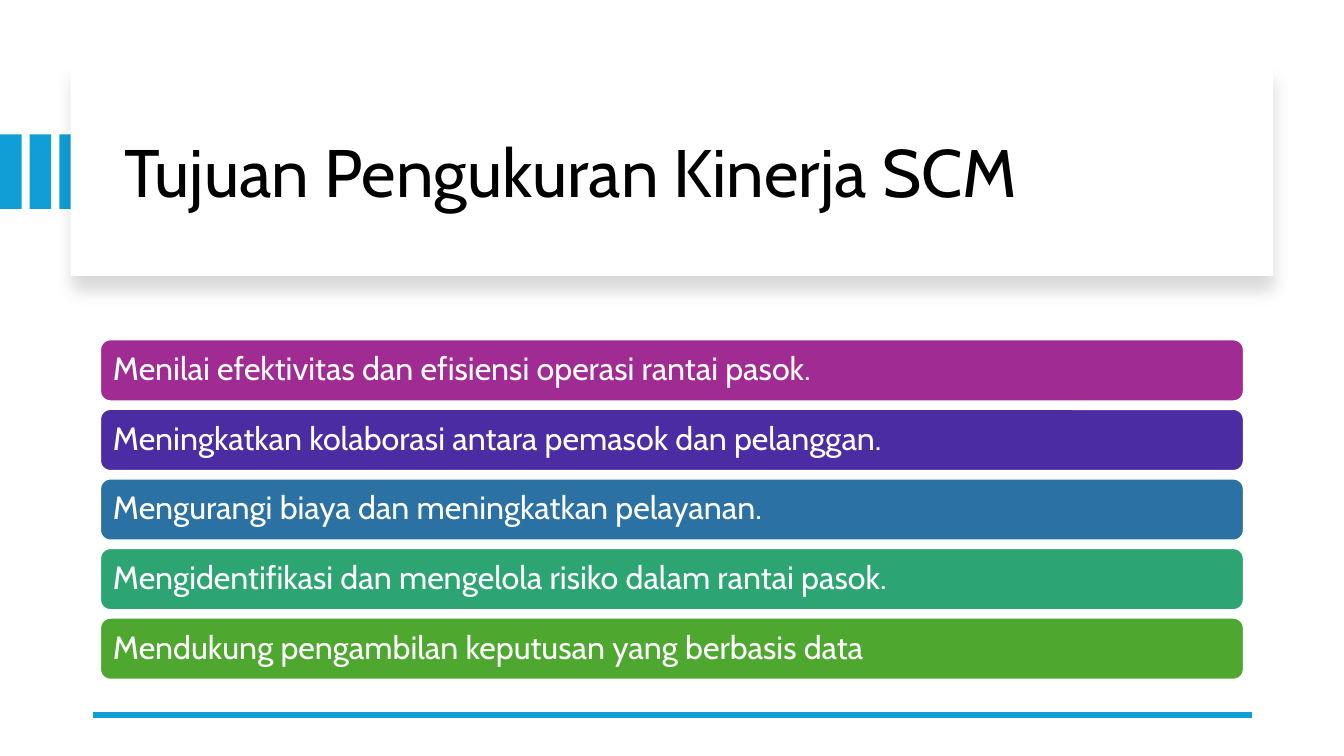
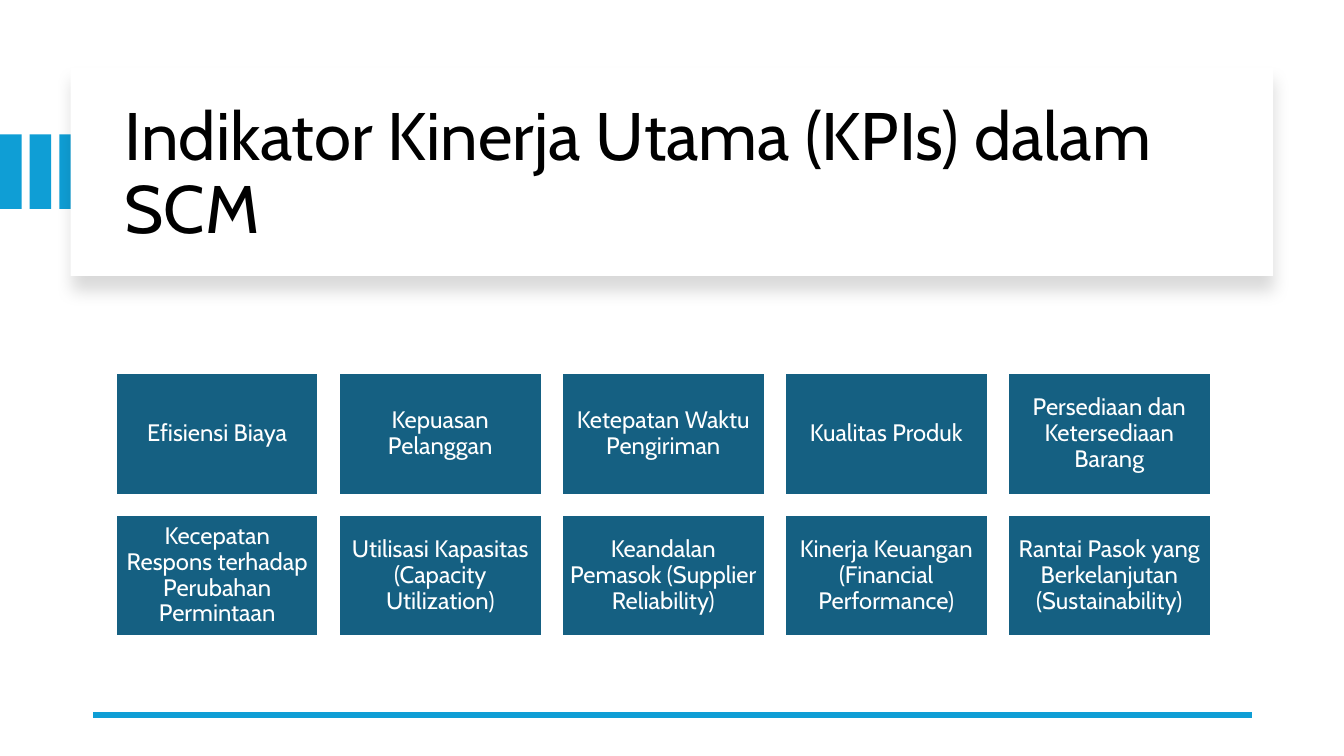
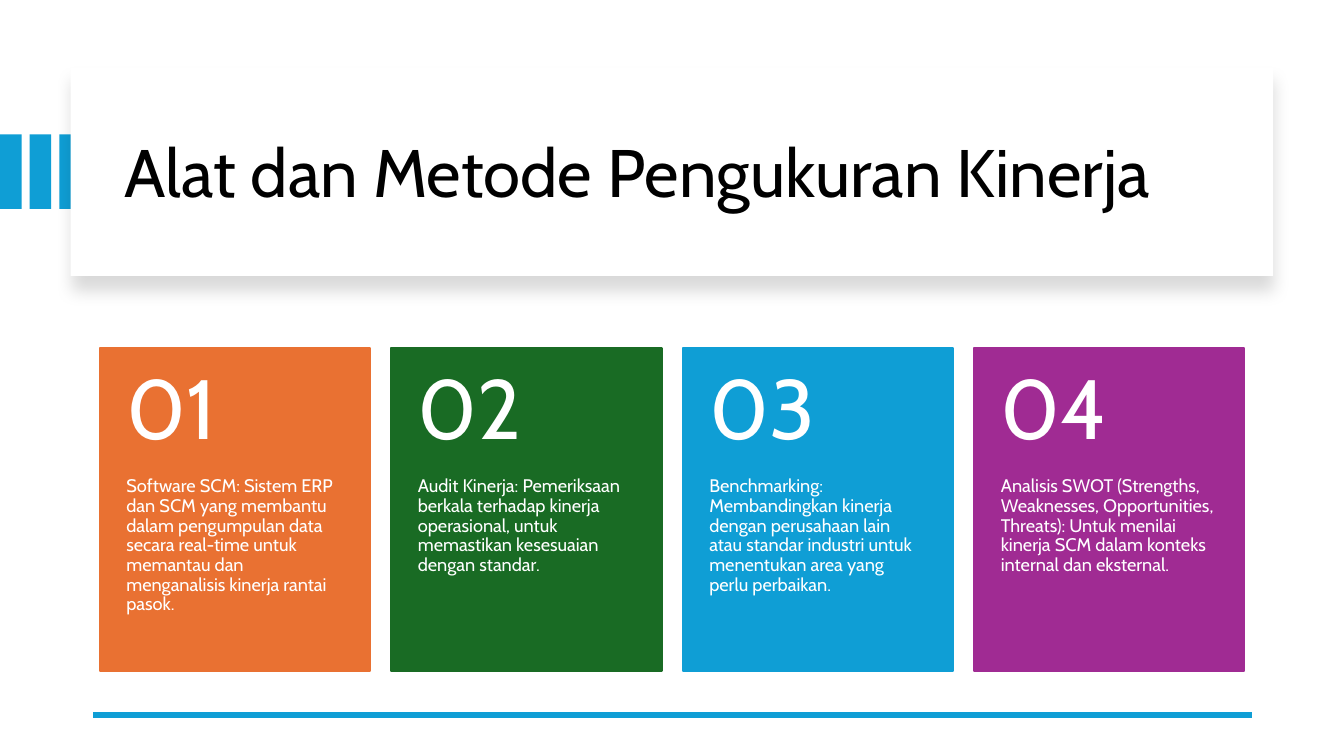
from lxml import etree
from pptx import Presentation
from pptx import util as u
from pptx.dml.color import RGBColor
from pptx.enum import shapes, text
from pptx.oxml import ns

FONT = "Cabin"
WHITE, BLACK = "FFFFFF", "000000"
SKY, TEAL, PURPLE = "0F9ED5", "156082", "A02B93"
MIDDLE, TOP = text.MSO_ANCHOR.MIDDLE, text.MSO_ANCHOR.TOP
LEFT, CENTER = text.PP_ALIGN.LEFT, text.PP_ALIGN.CENTER
RECT, ROUNDED = shapes.MSO_SHAPE.RECTANGLE, shapes.MSO_SHAPE.ROUNDED_RECTANGLE

GOALS = [
    ("Menilai efektivitas dan efisiensi operasi rantai pasok.", PURPLE),
    ("Meningkatkan kolaborasi antara pemasok dan pelanggan.", "4B2CA2"),
    ("Mengurangi biaya dan meningkatkan pelayanan.", "2C71A4"),
    ("Mengidentifikasi dan mengelola risiko dalam rantai pasok.", "2DA573"),
    ("Mendukung pengambilan keputusan yang berbasis data", "4EA72E"),
]
INDICATORS = [
    "Efisiensi Biaya",
    "Kepuasan Pelanggan",
    "Ketepatan Waktu Pengiriman",
    "Kualitas Produk",
    "Persediaan dan Ketersediaan Barang",
    "Kecepatan Respons terhadap Perubahan Permintaan",
    "Utilisasi Kapasitas (Capacity Utilization)",
    "Keandalan Pemasok (Supplier Reliability)",
    "Kinerja Keuangan (Financial Performance)",
    "Rantai Pasok yang Berkelanjutan (Sustainability)",
]
METHODS = [
    ("Software SCM: Sistem ERP dan SCM yang membantu dalam pengumpulan data secara "
     "real-time untuk memantau dan menganalisis kinerja rantai pasok.", "E97132"),
    ("Audit Kinerja: Pemeriksaan berkala terhadap kinerja operasional, untuk "
     "memastikan kesesuaian dengan standar.", "196B24"),
    ("Benchmarking: Membandingkan kinerja dengan perusahaan lain atau standar "
     "industri untuk menentukan area yang perlu perbaikan.", SKY),
    ("Analisis SWOT (Strengths, Weaknesses, Opportunities, Threats): Untuk menilai "
     "kinerja SCM dalam konteks internal dan eksternal.", PURPLE),
]


def color(code):
    return RGBColor.from_string(code)


class Deck:
    """Holds the shared style and the current slide."""

    def __init__(self):
        self.deck = Presentation()
        self.deck.slide_width, self.deck.slide_height = u.Pt(960), u.Pt(540)
        self.page = None

    def start(self, title):
        self.page = self.deck.slides.add_slide(self.deck.slide_layouts[6])
        for index in range(3):
            self.shape(21.2 * index, 96, 15.4, 53.3, SKY)
        self.shadow(self.shape(50.4, 48.2, 859, 149, WHITE))
        self.label(82.1, 64.1, 801.4, 122.4, title, 48, BLACK, (7.2, 3.6, 7.2, 3.6))
        self.rule(894.2, 66.2, 510.5)

    def shape(self, x, y, width, height, fill, line=None, kind=RECT):
        box = self.page.shapes.add_shape(kind, u.Pt(x), u.Pt(y), u.Pt(width), u.Pt(height))
        box.shadow.inherit = False
        box.fill.solid()
        box.fill.fore_color.rgb = color(fill)
        if line:
            box.line.color.rgb = color(line)
            box.line.width = u.Pt(1.5)
        else:
            box.line.fill.background()
        return box

    def shadow(self, box):
        effects = box._element.spPr.find(ns.qn("a:effectLst"))
        outer = etree.SubElement(effects, ns.qn("a:outerShdw"), blurRad=str(u.Pt(11)),
                                 dist=str(u.Pt(10)), dir="5400000", algn="t", rotWithShape="0")
        shade = etree.SubElement(outer, ns.qn("a:srgbClr"), val=BLACK)
        etree.SubElement(shade, ns.qn("a:alpha"), val="15000")

    def rule(self, start, end, y):
        line = self.page.shapes.add_connector(
            shapes.MSO_CONNECTOR.STRAIGHT, u.Pt(start), u.Pt(y), u.Pt(end), u.Pt(y))
        line.line.color.rgb = color(SKY)
        line.line.width = u.Pt(4.5)
        etree.SubElement(line._element.spPr, ns.qn("a:effectLst"))

    def label(self, x, y, width, height, words, size, ink, insets):
        box = self.page.shapes.add_textbox(u.Pt(x), u.Pt(y), u.Pt(width), u.Pt(height))
        self.put_text(box, words, size, ink, insets)

    def put_text(self, box, words, size, ink, insets, align=LEFT, anchor=MIDDLE):
        frame = box.text_frame
        frame.word_wrap = True
        frame.vertical_anchor = anchor
        (frame.margin_left, frame.margin_top,
         frame.margin_right, frame.margin_bottom) = map(u.Pt, insets)
        para = frame.paragraphs[0]
        para.alignment = align
        para.line_spacing = 0.9
        span = para.add_run()
        span.text = words
        span.font.name = FONT
        span.font.size = u.Pt(size)
        span.font.color.rgb = color(ink)


def add_goals(deck):
    deck.start("Tujuan Pengukuran Kinerja SCM")
    for row, (goal, fill) in enumerate(GOALS):
        bar = deck.shape(71.5, 242.4 + 49.7 * row, 817, 44.3, fill, WHITE, ROUNDED)
        deck.put_text(bar, goal, 23, WHITE, (7.2,) * 4)


def add_indicators(deck):
    deck.start("Indikator Kinerja Utama (KPIs) dalam SCM")
    for index, indicator in enumerate(INDICATORS):
        row, column = divmod(index, 5)
        tile = deck.shape(82.8 + 159.3 * column, 266.4 + 101.4 * row, 144.8, 86.9, TEAL, WHITE)
        deck.put_text(tile, indicator, 17, WHITE, (5,) * 4, CENTER)


def add_methods(deck):
    deck.start("Alat dan Metode Pengukuran Kinerja")
    for index, (method, fill) in enumerate(METHODS):
        x, y, width, number_height = 71.3 + 208.2 * index, 248.4, 193, 92.4
        card = deck.shape(x, y, width, 231.2, fill, fill)
        deck.put_text(card, method, 13, WHITE, (19, number_height, 19, 26), anchor=TOP)
        deck.label(x, y, width, number_height, f"{index + 1:02}", 60, WHITE, (19, 13, 19, 13))


def main():
    deck = Deck()
    add_goals(deck)
    add_indicators(deck)
    add_methods(deck)
    deck.deck.save("out.pptx")


if __name__ == "__main__":
    main()
